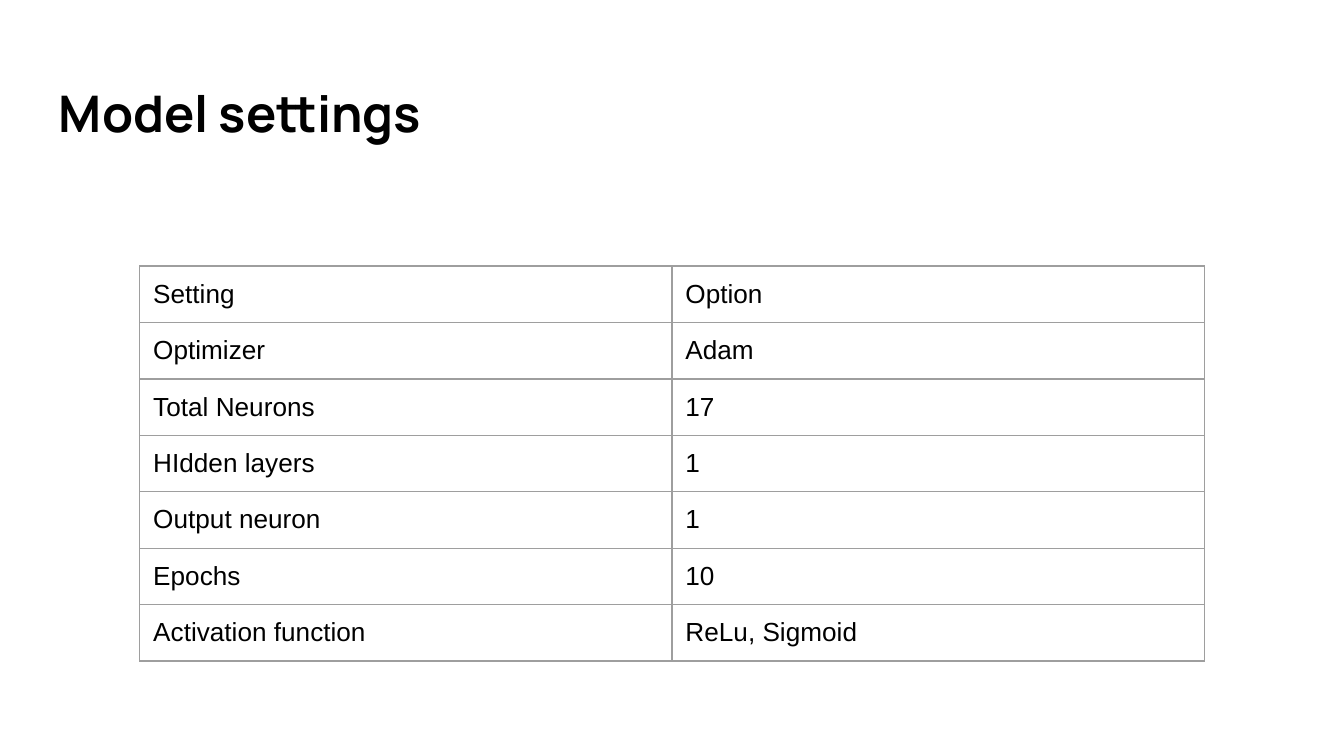
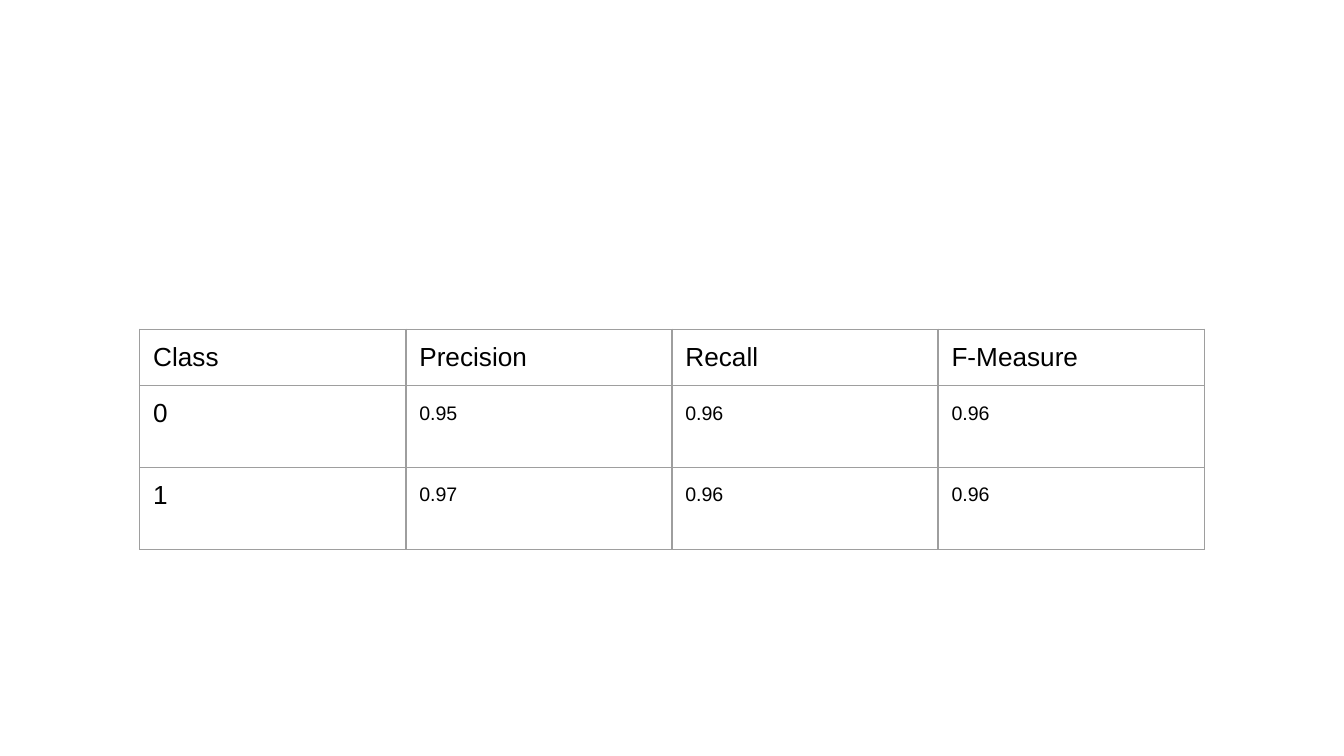
"""Build two slides: the model settings and the scores for each class."""
import pptx
import pptx.dml.color
import pptx.enum.text
import pptx.oxml.ns
import pptx.util
from lxml import etree
from pptx.util import Inches

BLACK = "000000"
WHITE = "FFFFFF"
BORDER = "9E9E9E"
INSET = Inches(0.1)
TABLE_LEFT = 1.04
TABLE_WIDTH = 7.92
ROW_HEIGHT = 0.42
SCORE_ROW_HEIGHT = 0.61


def style_text(paragraph, font_name, size, bold=False):
    paragraph.font.name = font_name
    paragraph.font.size = pptx.util.Pt(size)
    paragraph.font.bold = bold
    paragraph.font.color.rgb = pptx.dml.color.RGBColor.from_string(BLACK)


def add_grid(page, top, rows, heights, score_size=14):
    frame = page.shapes.add_table(
        len(rows), len(rows[0]), Inches(TABLE_LEFT), Inches(top),
        Inches(TABLE_WIDTH), Inches(sum(heights)))
    table = frame.table
    table.first_row = False
    table.horz_banding = False
    for r, values in enumerate(rows):
        table.rows[r].height = Inches(heights[r])
        for c, value in enumerate(values):
            cell = table.cell(r, c)
            cell.text = value
            cell.margin_left = cell.margin_right = cell.margin_top = INSET
            cell.margin_bottom = Inches(0.08)
            is_score = score_size != 14 and r > 0 and c > 0
            paragraph = cell.text_frame.paragraphs[0]
            style_text(paragraph, "Arial", score_size if is_score else 14)
            if is_score:
                paragraph.line_spacing = 1.15
            properties = cell._tc.get_or_add_tcPr()
            for side in ("a:lnL", "a:lnR", "a:lnT", "a:lnB"):
                line = etree.SubElement(
                    properties, pptx.oxml.ns.qn(side), w=str(pptx.util.Pt(0.75)))
                fill = etree.SubElement(line, pptx.oxml.ns.qn("a:solidFill"))
                etree.SubElement(fill, pptx.oxml.ns.qn("a:srgbClr"), val=BORDER)
            cell.fill.background()


deck = pptx.Presentation()
deck.slide_width = Inches(10)
deck.slide_height = Inches(10 * 9 / 16)
pages = [deck.slides.add_slide(deck.slide_layouts[6]) for _ in range(2)]
for page in pages:
    page.background.fill.solid()
    page.background.fill.fore_color.rgb = pptx.dml.color.RGBColor.from_string(WHITE)
settings_page, scores_page = pages

title = settings_page.shapes.add_textbox(
    Inches(0.34), Inches(0.49), Inches(9.32), Inches(0.68)).text_frame
title.word_wrap = True
title.vertical_anchor = pptx.enum.text.MSO_ANCHOR.BOTTOM
title.margin_left = title.margin_right = INSET
title.margin_top = title.margin_bottom = INSET
title.text = "Model settings"
title.paragraphs[0].line_spacing = 0.9
style_text(title.paragraphs[0], "Manrope", 27, bold=True)

settings = [
    ("Setting", "Option"),
    ("Optimizer", "Adam"),
    ("Total Neurons", "17"),
    ("HIdden layers", "1"),
    ("Output neuron", "1"),
    ("Epochs", "10"),
    ("Activation function", "ReLu, Sigmoid"),
]
add_grid(settings_page, 1.98, settings, [ROW_HEIGHT] * len(settings))

scores = [
    ("Class", "Precision", "Recall", "F-Measure"),
    ("0", "0.95", "0.96", "0.96"),
    ("1", "0.97", "0.96", "0.96"),
]
add_grid(scores_page, 2.45, scores,
         [ROW_HEIGHT, SCORE_ROW_HEIGHT, SCORE_ROW_HEIGHT], score_size=10.5)

deck.save("out.pptx")
